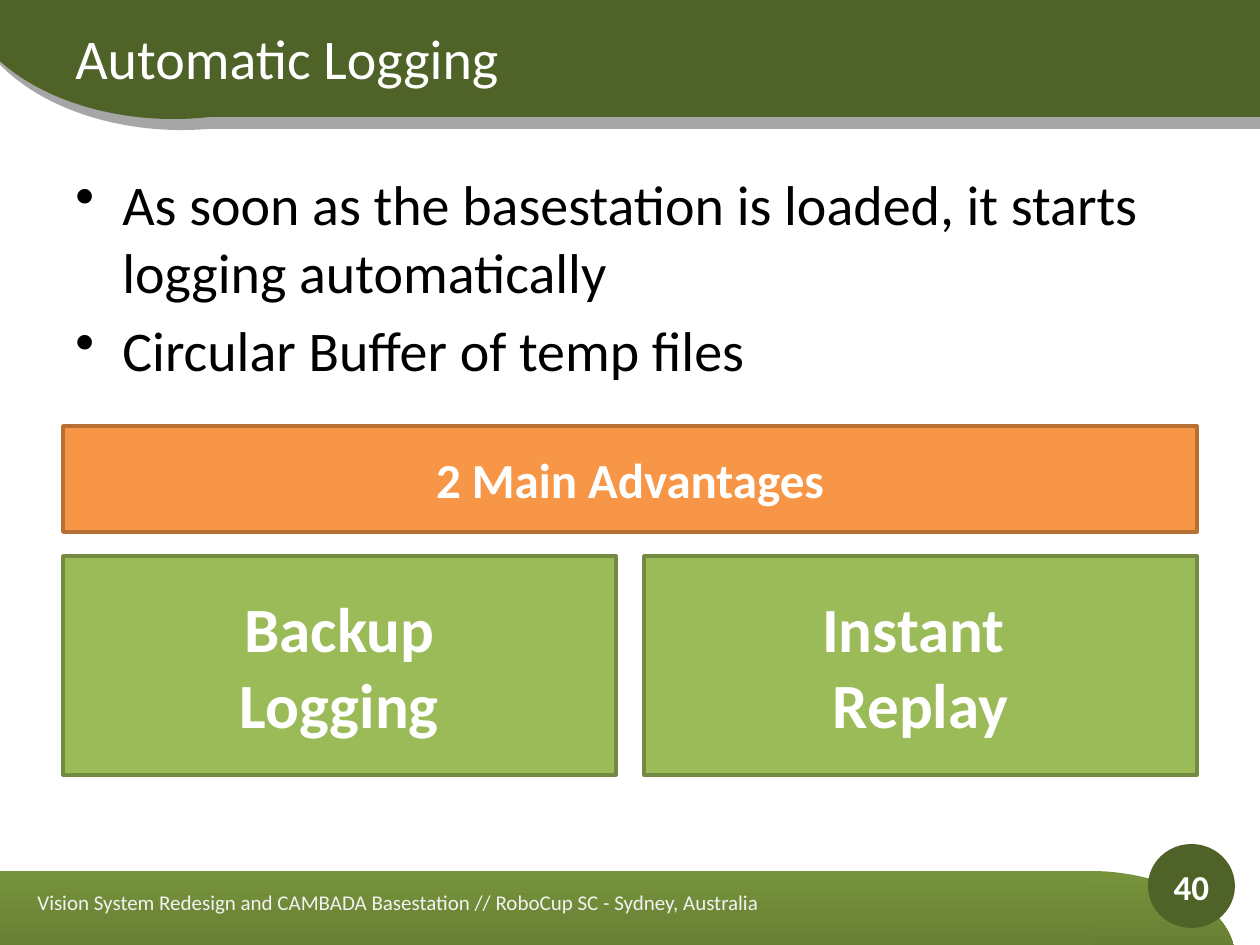
from pptx import Presentation
from pptx.dml.color import RGBColor
from pptx.enum.shapes import MSO_SHAPE as SHAPE
from pptx.enum.text import MSO_ANCHOR, PP_ALIGN
from pptx.oxml.xmlchemy import OxmlElement
from pptx.util import Emu, Pt

PX = 914400 / 126
FONT = "Calibri"

WHITE = RGBColor(0xFF, 0xFF, 0xFF)
BLACK = RGBColor(0x00, 0x00, 0x00)
PALE = RGBColor(0xF2, 0xF2, 0xF2)
GRAY = RGBColor(0xA6, 0xA6, 0xA6)
DARK_GREEN = RGBColor(0x4F, 0x62, 0x28)
MID_GREEN = RGBColor(0x77, 0x93, 0x3C)
CARD_GREEN = RGBColor(0x9B, 0xBB, 0x59)
CARD_LINE = RGBColor(0x73, 0x8A, 0x42)
ORANGE = RGBColor(0xF7, 0x96, 0x46)
ORANGE_LINE = RGBColor(0xB7, 0x6F, 0x34)


def px(n):
    return Emu(round(n * PX))


def add_shape(slide, kind, box, fill, line=None):
    """Add a preset shape; a list as fill makes a top-to-bottom gradient."""
    sp = slide.shapes.add_shape(kind, *map(px, box))
    sp.shadow.inherit = False
    if isinstance(fill, list):
        sp.fill.gradient()
        sp.fill.gradient_angle = 270
        for stop, position, color in zip(sp.fill.gradient_stops, (0, 1), fill):
            stop.position = position
            stop.color.rgb = color
    else:
        sp.fill.solid()
        sp.fill.fore_color.rgb = fill
    if line is None:
        sp.line.fill.background()
    else:
        sp.line.color.rgb = line
        sp.line.width = Pt(2)
    return sp


def add_bullet(p):
    pPr = p._p.get_or_add_pPr()
    pPr.set("marL", str(px(47)))
    pPr.set("indent", str(-px(47)))
    bullet = OxmlElement("a:buChar")
    bullet.set("char", "•")
    pPr.append(bullet)


def write(sp, lines, size, color, bold=False, align=PP_ALIGN.LEFT, bullets=False):
    tf = sp.text_frame
    tf.word_wrap = True
    tf.vertical_anchor = MSO_ANCHOR.MIDDLE
    for i, line in enumerate(lines):
        p = tf.paragraphs[0] if i == 0 else tf.add_paragraph()
        p.alignment = align
        if bullets:
            if i:
                p.space_before = Pt(size * 0.2)
            add_bullet(p)
        r = p.add_run()
        r.text = line
        r.font.name = FONT
        r.font.size = Pt(size)
        r.font.bold = bold
        r.font.color.rgb = color


def add_text(slide, box, lines, size, color, **style):
    sp = slide.shapes.add_textbox(*map(px, box))
    write(sp, lines, size, color, **style)
    return sp


def add_card(slide, box, lines, size, fill, line):
    sp = add_shape(slide, SHAPE.RECTANGLE, box, fill, line)
    write(sp, lines, size, WHITE, bold=True, align=PP_ALIGN.CENTER)


def add_header_band(slide, left, top, bar_left, bar_top, color):
    add_shape(slide, SHAPE.OVAL, (left, top, 431, 284), color)
    add_shape(slide, SHAPE.RECTANGLE, (bar_left, bar_top, 1079, 179), color)


def add_footer_band(slide):
    gradient = [MID_GREEN, DARK_GREEN]
    add_shape(slide, SHAPE.OVAL, (944, 871, 291, 174), gradient)
    add_shape(slide, SHAPE.RECTANGLE, (-42, 871, 1135, 179), gradient)


def main():
    prs = Presentation()
    prs.slide_width, prs.slide_height = px(1260), px(945)
    slide = prs.slides.add_slide(prs.slide_layouts[6])

    add_header_band(slide, -34, -154, 197, -50, GRAY)
    add_footer_band(slide)
    add_header_band(slide, -42, -165, 188, -62, DARK_GREEN)
    add_shape(slide, SHAPE.OVAL, (1148, 844, 87, 84), DARK_GREEN)

    body = add_text(slide, (63, 139, 1134, 263),
                    ["As soon as the basestation is loaded, it starts logging automatically",
                     "Circular Buffer of temp files"],
                    32, BLACK, bullets=True)
    body.text_frame.margin_top = px(18)
    add_text(slide, (25, 876, 1123, 53),
             ["Vision System Redesign and CAMBADA Basestation // RoboCup SC - Sydney, Australia"],
             12, PALE)
    add_text(slide, (63, -3, 781, 120), ["Automatic Logging"], 32, WHITE)
    add_text(slide, (1148, 848, 87, 78), ["40"], 20, WHITE,
             bold=True, align=PP_ALIGN.CENTER)

    add_card(slide, (63, 426, 1134, 106), ["2 Main Advantages"], 28, ORANGE, ORANGE_LINE)
    advantages = [["Backup", "Logging"], ["Instant ", "Replay"]]
    for i, lines in enumerate(advantages):
        add_card(slide, (63 + 581 * i, 556, 553, 219), lines, 36, CARD_GREEN, CARD_LINE)

    prs.save("out.pptx")


if __name__ == "__main__":
    main()
